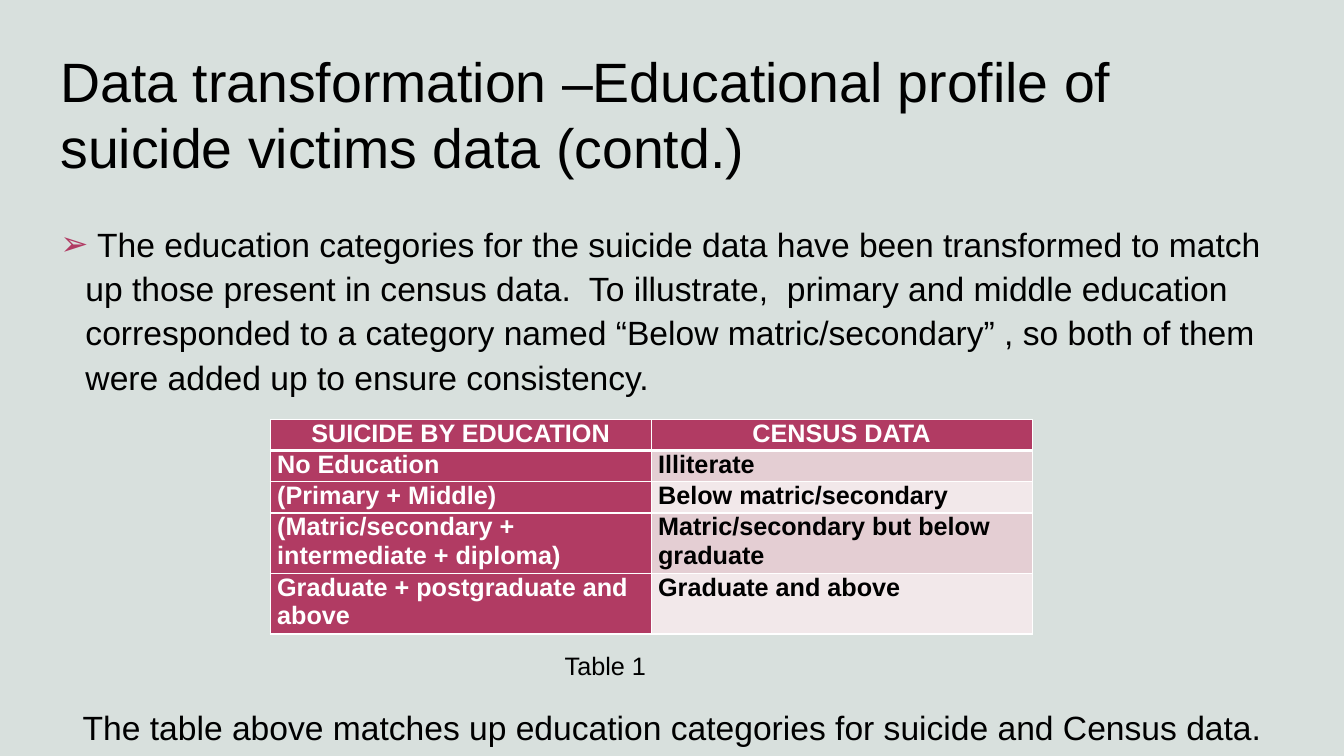
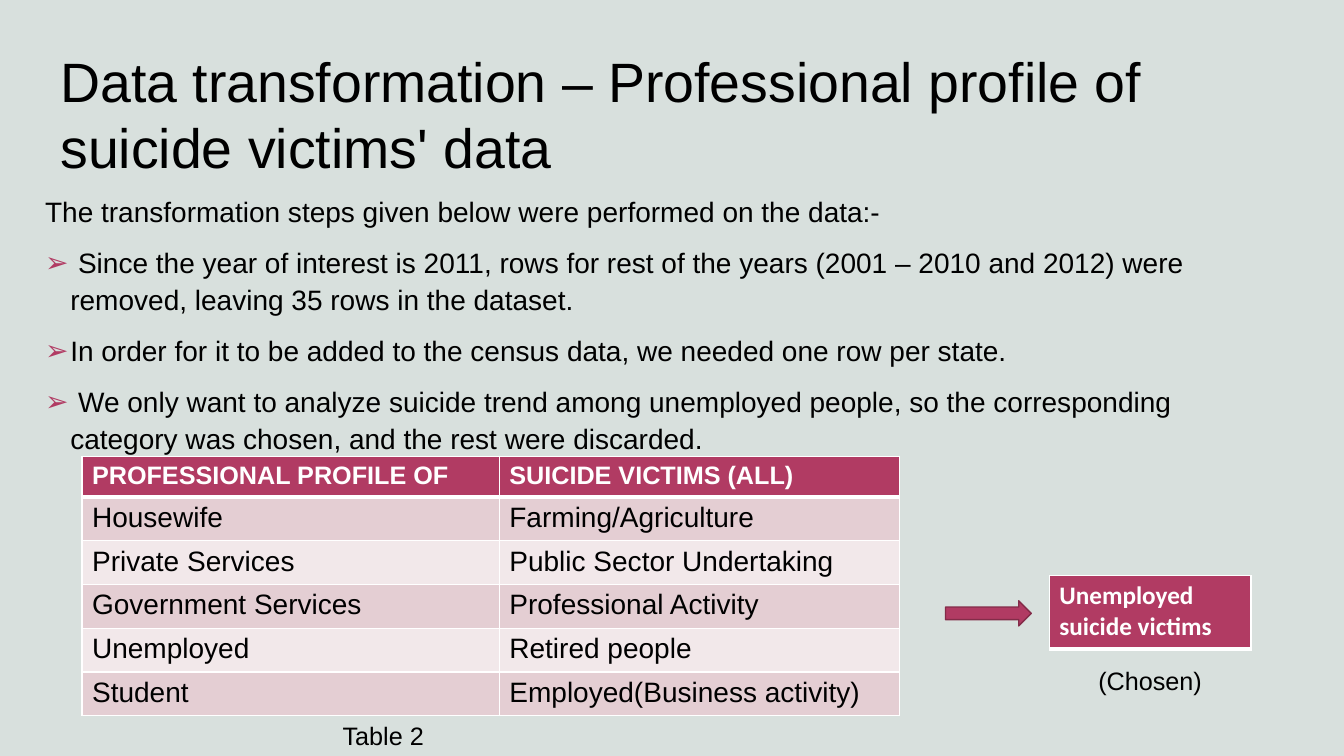
from dataclasses import dataclass

from lxml.etree import SubElement
from pptx import Presentation
from pptx.dml.color import RGBColor
from pptx.enum.shapes import MSO_SHAPE as Preset
from pptx.enum.text import MSO_ANCHOR as Anchor, PP_ALIGN as Align
from pptx.oxml import parse_xml
from pptx.oxml.ns import nsdecls, qn
from pptx.util import Inches, Pt

SLIDE_WIDTH, SLIDE_HEIGHT = Inches(13.333), Inches(7.5)
EDGES = ("lnL", "lnR", "lnT", "lnB")


@dataclass(frozen=True)
class Theme:
    background: str = "D8E0DD"
    accent: str = "B13B63"
    accent_dark: str = "832C49"
    bands: tuple = ("E4CED3", "F2E8EA")
    light: str = "FFFFFF"
    dark: str = "000000"
    font: str = "Arial"
    label_font: str = "Calibri"
    title_size: float = 39.6
    large_size: float = 24
    body_size: float = 20
    table_size: float = 18
    body_spacing: float = 1.1
    paragraph_gap: float = 10
    thin_border: float = 1
    header_border: float = 3


THEME = Theme()


@dataclass(frozen=True)
class TextStyle:
    size: float
    color: str = THEME.dark
    font: str = THEME.font
    bold: bool = False
    align: Align = Align.LEFT
    spacing: float = 1.0


TITLE = TextStyle(THEME.title_size)
LARGE = TextStyle(THEME.large_size, spacing=THEME.body_spacing)
CLOSING = TextStyle(THEME.large_size, align=Align.CENTER, spacing=THEME.body_spacing)
BODY = TextStyle(THEME.body_size, spacing=THEME.body_spacing)
CAPTION = TextStyle(THEME.table_size)
CENTERED_CAPTION = TextStyle(THEME.table_size, align=Align.CENTER)
HEADER = TextStyle(THEME.table_size, THEME.light, bold=True)
CENTERED_HEADER = TextStyle(THEME.table_size, THEME.light, bold=True, align=Align.CENTER)
BOLD_CELL = TextStyle(THEME.table_size, bold=True)
CELL = TextStyle(THEME.body_size)
LABEL = TextStyle(THEME.table_size, THEME.light, THEME.label_font, True)


def across(percent):
    return round(SLIDE_WIDTH * percent / 100)


def down(percent):
    return round(SLIDE_HEIGHT * percent / 100)


def place(left, top, width, height):
    """Turn percentages of the slide into a position and size."""
    return across(left), down(top), across(width), down(height)


def paint(fill, color):
    fill.solid()
    fill.fore_color.rgb = RGBColor.from_string(color)


def add_bullet(paragraph):
    properties = paragraph._p.get_or_add_pPr()
    properties.set("marL", str(Inches(0.25)))
    properties.set("indent", str(-Inches(0.25)))
    color = SubElement(properties, qn("a:buClr"))
    SubElement(color, qn("a:srgbClr"), val=THEME.accent)
    SubElement(properties, qn("a:buFont"), typeface=THEME.font)
    SubElement(properties, qn("a:buChar"), char="➢")


def write(paragraph, text, style):
    paragraph.alignment = style.align
    paragraph.line_spacing = style.spacing
    run = paragraph.add_run()
    run.text = text
    run.font.name = style.font
    run.font.size = Pt(style.size)
    run.font.bold = style.bold
    run.font.color.rgb = RGBColor.from_string(style.color)


def add_text(slide, box, paragraphs, style, anchor=Anchor.TOP):
    """Add a text box; each paragraph is a (text, bulleted) pair."""
    frame = slide.shapes.add_textbox(*place(*box)).text_frame
    frame.word_wrap = True
    frame.vertical_anchor = anchor
    for index, (text, bulleted) in enumerate(paragraphs):
        paragraph = frame.add_paragraph() if index else frame.paragraphs[0]
        if bulleted:
            add_bullet(paragraph)
        if index:
            paragraph.space_before = Pt(THEME.paragraph_gap)
        write(paragraph, text, style)


def add_line(slide, box, text, style):
    add_text(slide, box, [(text, False)], style)


def add_borders(cell, top, bottom):
    properties = cell._tc.get_or_add_tcPr()
    widths = (THEME.thin_border, THEME.thin_border, top, bottom)
    for index, (edge, width) in enumerate(zip(EDGES, widths)):
        properties.insert(index, parse_xml(
            f'<a:{edge} {nsdecls("a")} w="{Pt(width)}"><a:solidFill>'
            f'<a:srgbClr val="{THEME.light}"/></a:solidFill></a:{edge}>'))


def add_table(slide, corner, columns, row_heights, rows, header, body,
              first_column=False, tight=False):
    """Add a table with a header row and, if asked, an accented first column."""
    box = (*corner, sum(columns), sum(row_heights))
    table = slide.shapes.add_table(len(rows), len(columns), *place(*box)).table
    table.horz_banding = False
    for column, width in zip(table.columns, columns):
        column.width = across(width)
    for index, (row, height, texts) in enumerate(zip(table.rows, row_heights, rows)):
        row.height = down(height)
        for position, (cell, text) in enumerate(zip(row.cells, texts)):
            accented = index == 0 or (first_column and position == 0)
            if tight:
                cell.margin_left = cell.margin_right = Inches(0.07)
                cell.margin_top = cell.margin_bottom = 0
            paint(cell.fill, THEME.accent if accented else THEME.bands[(index - 1) % 2])
            add_borders(cell,
                        THEME.header_border if index == 1 else THEME.thin_border,
                        THEME.header_border if index == 0 else THEME.thin_border)
            style = header if index == 0 else HEADER if accented else body
            write(cell.text_frame.paragraphs[0], text, style)


def add_arrow(slide, box):
    arrow = slide.shapes.add_shape(Preset.RIGHT_ARROW, *place(*box))
    arrow.shadow.inherit = False
    paint(arrow.fill, THEME.accent)
    arrow.line.color.rgb = RGBColor.from_string(THEME.accent_dark)
    arrow.line.width = Pt(THEME.thin_border)


def add_slide(presentation, title):
    slide = presentation.slides.add_slide(presentation.slide_layouts[6])
    add_text(slide, (3.75, 5.33, 89.4, 19.33), [(title, False)], TITLE, Anchor.MIDDLE)
    return slide


def build_education(presentation):
    slide = add_slide(
        presentation,
        "Data transformation –Educational profile of suicide victims data (contd.)")
    add_text(slide, (3.75, 28.4, 92.5, 26), [(
        " The education categories for the suicide data have been transformed to match "
        "up those present in census data.  To illustrate,  primary and middle education "
        "corresponded to a category named “Below matric/secondary” , so both of them "
        "were added up to ensure consistency.", True)], LARGE)
    add_table(slide, (20.1, 55.47), [28.35] * 2, [4.13] * 3 + [7.4] * 2, [
        ("SUICIDE BY EDUCATION", "CENSUS DATA"),
        ("No Education", "Illiterate"),
        ("(Primary + Middle)", "Below matric/secondary"),
        ("(Matric/secondary + intermediate + diploma)",
         "Matric/secondary but below graduate"),
        ("Graduate + postgraduate and above", "Graduate and above"),
    ], CENTERED_HEADER, BOLD_CELL, first_column=True, tight=True)
    add_line(slide, (33.75, 85.33, 22.58, 5.33), "Table 1", CENTERED_CAPTION)
    add_line(slide, (3.75, 92.3, 92.5, 6.7),
             "The table above matches up education categories for suicide and Census data.",
             CLOSING)


def build_profession(presentation):
    slide = add_slide(
        presentation,
        "Data transformation – Professional profile of suicide victims' data")
    add_text(slide, (2.62, 24.67, 92.5, 35.5), [
        ("The transformation steps given below were performed on the data:-", False),
        (" Since the year of interest is 2011, rows for rest of the years "
         "(2001 – 2010 and 2012) were removed, leaving 35 rows in the dataset.", True),
        ("In order for it to be added to the census data, we needed one row per state.",
         True),
        (" We only want to analyze suicide trend among unemployed people, so the "
         "corresponding category was chosen, and the rest were discarded.", True),
    ], BODY)
    add_table(slide, (6.1, 60.4), [31.05, 29.75], [5.2] + [5.4] * 5, [
        ("PROFESSIONAL PROFILE OF", "SUICIDE VICTIMS (ALL)"),
        ("Housewife", "Farming/Agriculture"),
        ("Private Services", "Public Sector Undertaking"),
        ("Government Services", "Professional Activity"),
        ("Unemployed", "Retired people"),
        ("Student", "Employed(Business activity)"),
    ], HEADER, CELL)
    add_table(slide, (78.08, 76.13), [15], [9.73],
              [("Unemployed suicide victims",)], LABEL, LABEL)
    add_arrow(slide, (70.35, 79.47, 6.38, 3.33))
    add_line(slide, (78.08, 87.33, 15, 5.33), "(Chosen)", CENTERED_CAPTION)
    add_line(slide, (24.75, 94.67, 16.58, 5.33), "Table 2", CAPTION)


def main():
    presentation = Presentation()
    presentation.slide_width, presentation.slide_height = SLIDE_WIDTH, SLIDE_HEIGHT
    paint(presentation.slide_master.background.fill, THEME.background)
    build_education(presentation)
    build_profession(presentation)
    presentation.save("out.pptx")


if __name__ == "__main__":
    main()
